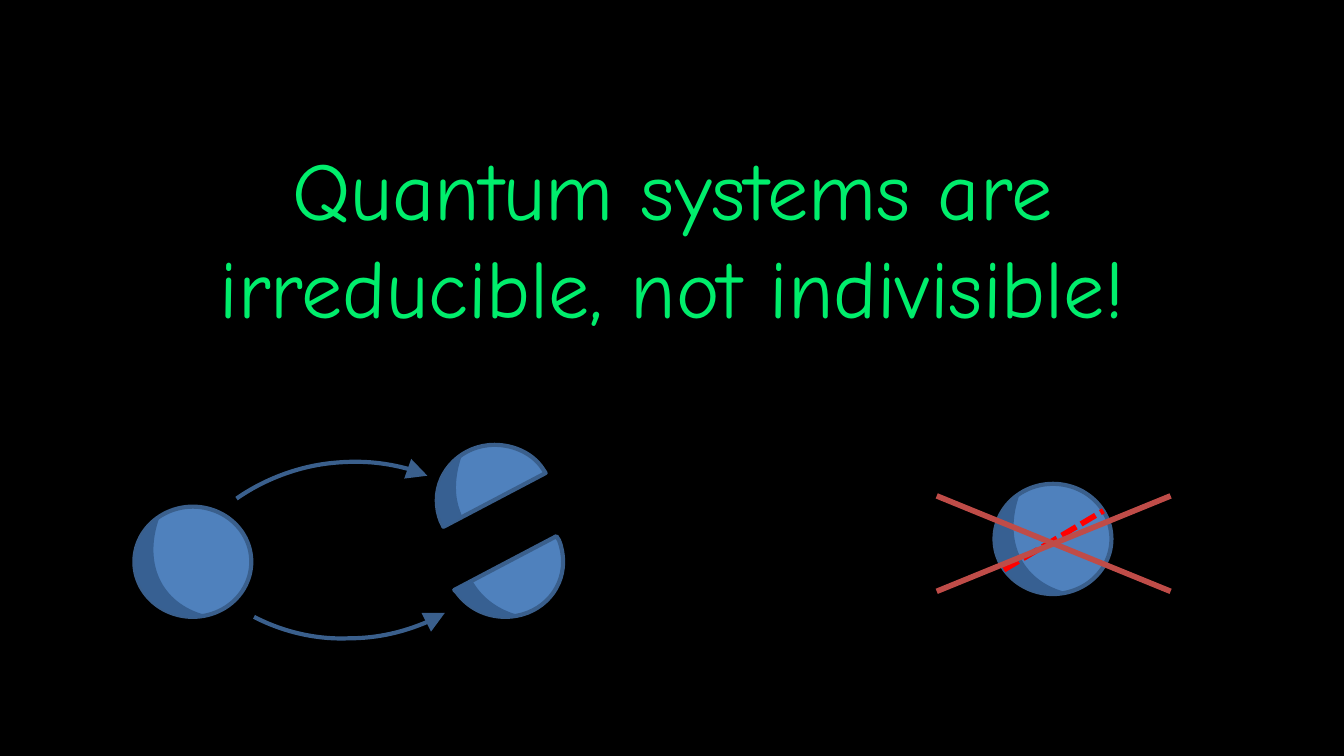
from dataclasses import dataclass

from lxml import etree
from pptx import Presentation, util as u
from pptx.dml.color import RGBColor
from pptx.enum import dml, shapes, text
from pptx.oxml.ns import qn

PX = 9144  # EMU per px, 100 px to the inch
SLIDE_WIDTH = 1000


@dataclass(frozen=True)
class Theme:
    background: str = "000000"
    title: str = "00EE6C"
    ball: str = "4F81BD"
    shade: str = "376092"
    outline: str = "3A5F8C"
    cut: str = "FF0000"
    cross: str = "BF4C48"
    font: str = "Comic Neue"
    title_size: int = 44
    outline_width: float = 2.25
    mark_width: int = 3


T = Theme()
BALL_SIZE = (87, 82)

# Outlines: a start point, then lines (one point) and cubic curves (three points)
SHADE = [(55, 81), [(35, 86), (14, 77), (5, 60)], [(-5, 41), (1, 19), (19, 7)],
         [(5, 45), (23, 74), (55, 81)]]
LOWER_HALF = [(414, 399), [(416, 402)], [(418, 407), (419, 413), (419, 418)],
              [(419, 441), (400, 459), (376, 459)],
              [(361, 459), (348, 452), (340, 441)], [(338, 439)]]
LOWER_SHADE = [(352, 431), [(352, 433)], [(359, 445), (371, 454), (387, 458)],
               [(370, 462), (352, 456), (341, 443)], [(338, 438)]]
UPPER_HALF = [(368, 331), [(383, 331), (397, 338), (404, 349)], [(406, 352)],
              [(330, 392)], [(328, 388)], [(326, 383), (325, 378), (325, 372)],
              [(325, 350), (344, 331), (368, 331)]]
UPPER_SHADE = [(344, 338), [(339, 352), (338, 365), (341, 376)], [(344, 385)],
               [(330, 392)], [(330, 391)], [(320, 372), (326, 350), (344, 338)]]
UPPER_ARROW = [(176, 371), [(196, 357), (220, 348), (243, 345)],
               [(267, 342), (299, 345), (318, 354)]]
LOWER_ARROW = [(189, 459), [(210, 470), (235, 476), (259, 475)],
               [(282, 475), (314, 467), (331, 456)]]


def color(value):
    return RGBColor.from_string(value)


def set_line(line, value, width):
    line.color.rgb = color(value)
    line.width = u.Pt(width)


def paint(sp, fill=None, outlined=True):
    sp.shadow.inherit = False
    if fill:
        sp.fill.solid()
        sp.fill.fore_color.rgb = color(fill)
    else:
        sp.fill.background()
    if outlined:
        set_line(sp.line, T.outline, T.outline_width)
    else:
        sp.line.fill.background()


def curve_points(start, a, b, end, steps=16):
    """Points along a cubic curve, used for the true bounds of an outline."""
    for i in range(1, steps + 1):
        t = i / steps
        v = 1 - t
        yield tuple(round(v**3 * p + 3 * v * v * t * q + 3 * v * t * t * m + t**3 * n)
                    for p, q, m, n in zip(start, a, b, end))


def add_outline(parent, outline, fill=None, outlined=True, closed=True, dx=0, dy=0):
    def place(point):
        return (point[0] + dx) * PX, (point[1] + dy) * PX

    start = place(outline[0])
    segments = [[place(point) for point in seg] for seg in outline[1:]]

    points, last = [], start
    for seg in segments:
        points += curve_points(last, *seg) if len(seg) == 3 else seg
        last = seg[-1]
    builder = parent.shapes.build_freeform(*start)
    builder.add_line_segments(points, close=closed)
    sp = builder.convert_to_shape()

    # Put real curves in the path
    path = sp._element.spPr.find(".//" + qn("a:path"))
    for child in list(path):
        path.remove(child)
    tags = {1: "a:lnTo", 3: "a:cubicBezTo"}
    for tag, seg in [("a:moveTo", [start])] + [(tags[len(g)], g) for g in segments]:
        node = etree.SubElement(path, qn(tag))
        for x, y in seg:
            etree.SubElement(node, qn("a:pt"), x=str(x - sp.left), y=str(y - sp.top))
    if closed:
        etree.SubElement(path, qn("a:close"))
    paint(sp, fill, outlined)
    return sp


def add_arrow(parent, outline):
    sp = add_outline(parent, outline, closed=False)
    ln = sp._element.spPr.find(qn("a:ln"))
    etree.SubElement(ln, qn("a:tailEnd"), type="triangle", w="lg", len="lg")


def add_ball(parent, x, y):
    w, h = BALL_SIZE
    sp = parent.shapes.add_shape(shapes.MSO_SHAPE.OVAL, x * PX, y * PX, w * PX, h * PX)
    paint(sp, T.ball)
    add_outline(parent, SHADE, T.shade, outlined=False, dx=x, dy=y)


def add_mark(parent, x1, y1, x2, y2, value, dash=None):
    line = parent.shapes.add_connector(
        shapes.MSO_CONNECTOR.STRAIGHT, x1 * PX, y1 * PX, x2 * PX, y2 * PX)
    set_line(line.line, value, T.mark_width)
    if dash:
        line.line.dash_style = dash
    etree.SubElement(line._element.spPr, qn("a:effectLst"))


def add_title(s, x, y, w, h, words):
    tf = s.shapes.add_textbox(x * PX, y * PX, w * PX, h * PX).text_frame
    tf.word_wrap = True
    tf.auto_size = text.MSO_AUTO_SIZE.SHAPE_TO_FIT_TEXT
    p = tf.paragraphs[0]
    p.alignment = text.PP_ALIGN.CENTER
    r = p.add_run()
    r.text = words
    r.font.name, r.font.size = T.font, u.Pt(T.title_size)
    r.font.color.rgb = color(T.title)


def main():
    prs = Presentation()
    prs.slide_width = SLIDE_WIDTH * PX
    prs.slide_height = prs.slide_width * 9 // 16
    s = prs.slides.add_slide(prs.slide_layouts[6])
    s.background.fill.solid()
    s.background.fill.fore_color.rgb = color(T.background)

    add_title(s, 142, 98, 717, 158, "Quantum systems are irreducible, not indivisible!")

    # Ball that splits into two halves
    split = s.shapes.add_group_shape()
    add_ball(split, 100, 377)
    for half, shade in ((LOWER_HALF, LOWER_SHADE), (UPPER_HALF, UPPER_SHADE)):
        add_outline(split, half, T.ball)
        add_outline(split, shade, T.shade, outlined=False)
    for arrow in (UPPER_ARROW, LOWER_ARROW):
        add_arrow(split, arrow)

    # Ball with a cut line
    cut = s.shapes.add_group_shape()
    add_ball(cut, 740, 360)
    add_mark(cut, 747, 424, 821, 380, T.cut, dml.MSO_LINE.SQUARE_DOT)

    # Cross over the cut ball
    cross = s.shapes.add_group_shape()
    for y1, y2 in ((369, 440), (440, 369)):
        add_mark(cross, 697, y1, 871, y2, T.cross)

    prs.save("out.pptx")


if __name__ == "__main__":
    main()
